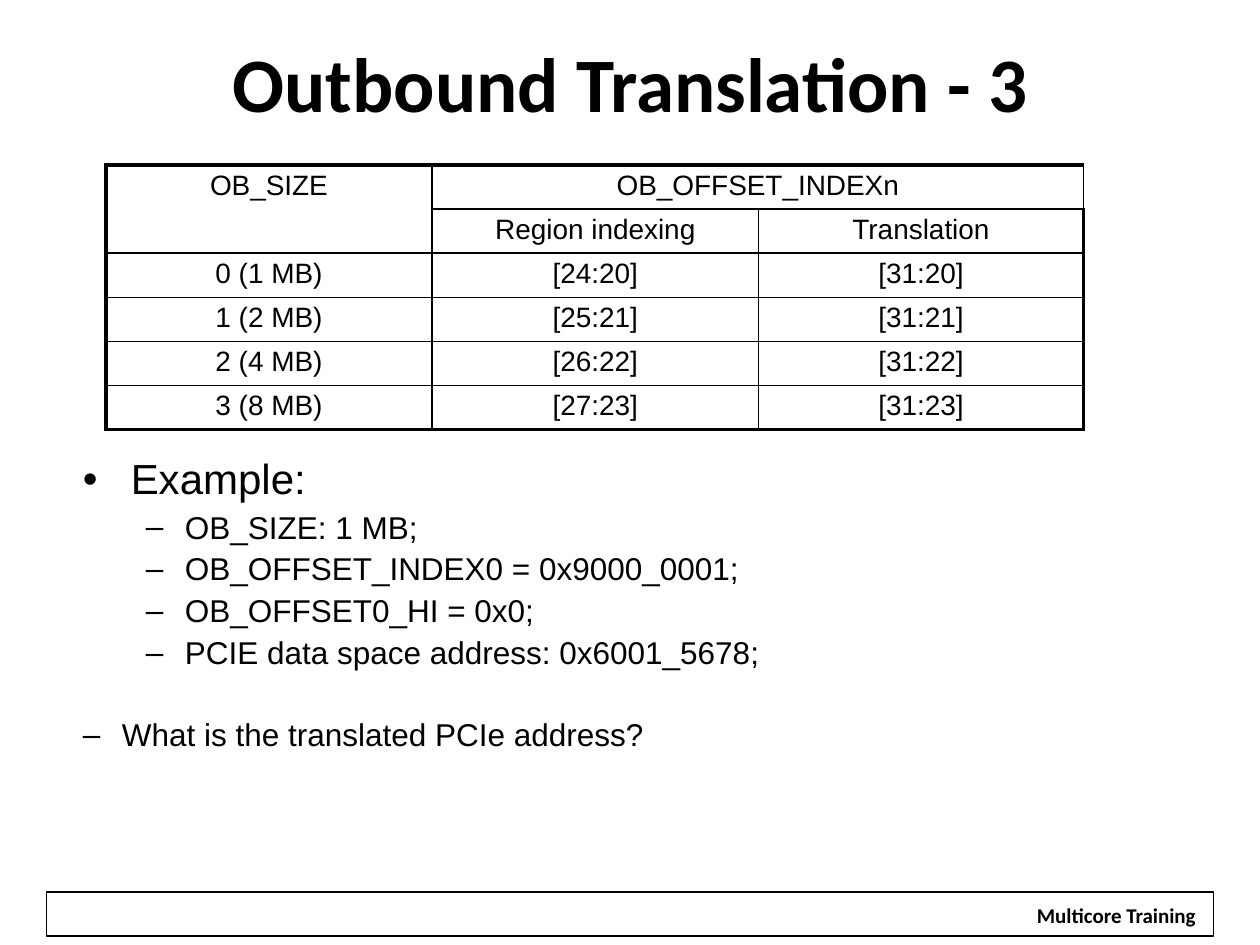
from lxml import etree
from pptx import Presentation
from pptx.dml.color import RGBColor
from pptx.enum import shapes, text
from pptx.oxml import ns
from pptx.util import Inches, Pt

COLORS = {"ink": "000000", "paper": "FFFFFF"}
HEADING_FONT, BODY_FONT = "Calibri", "Arial"

SIZES = [
    ("0 (1 MB)", "[24:20]", "[31:20]"),
    ("1 (2 MB)", "[25:21]", "[31:21]"),
    ("2 (4 MB)", "[26:22]", "[31:22]"),
    ("3 (8 MB)", "[27:23]", "[31:23]"),
]
HEADER = [("OB_SIZE", "OB_OFFSET_INDEXn", ""),
          ("", "Region indexing", "Translation")]

# text, bullet, size, left margin, hanging indent, space before
EXAMPLE = [("Example:", "•", 24, 0.38, 0.38, 0)]
EXAMPLE += [(setting, "–", 18, 0.81, 0.31, 4.5) for setting in (
    "OB_SIZE: 1 MB;",
    "OB_OFFSET_INDEX0 = 0x9000_0001;",
    "OB_OFFSET0_HI = 0x0;",
    "PCIE data space address: 0x6001_5678;",
)]
EXAMPLE.append(("What is the translated PCIe address?", "–", 18, 0.31, 0.31, 27.5))


def rgb(name):
    return RGBColor.from_string(COLORS[name])


class SlideBuilder:
    def __init__(self, slide):
        self.slide = slide

    def style(self, paragraph, size, font, bold=False):
        for run in paragraph.runs:
            run.font.size = Pt(size)
            run.font.name = font
            run.font.bold = bold
            run.font.color.rgb = rgb("ink")

    def frame(self, left, top, width, height):
        bar = self.slide.shapes.add_shape(
            shapes.MSO_SHAPE.RECTANGLE,
            Inches(left), Inches(top), Inches(width), Inches(height))
        bar.shadow.inherit = False
        bar.fill.background()
        bar.line.color.rgb = rgb("ink")
        bar.line.width = Pt(0.75)

    def box(self, left, top, width, height, wrap=True):
        box = self.slide.shapes.add_textbox(
            Inches(left), Inches(top), Inches(width), Inches(height))
        box.text_frame.word_wrap = wrap
        return box

    def heading(self, words, area, size, wrap=True):
        box = self.box(*area, wrap=wrap)
        box.text_frame.vertical_anchor = text.MSO_ANCHOR.MIDDLE
        box.text_frame.text = words
        line = box.text_frame.paragraphs[0]
        line.alignment = text.PP_ALIGN.CENTER
        self.style(line, size, HEADING_FONT, bold=True)
        return box

    def bullets(self, items, area):
        frame = self.box(*area).text_frame
        for i, (words, mark, size, margin, hang, before) in enumerate(items):
            line = frame.add_paragraph() if i else frame.paragraphs[0]
            line.text = words
            line.line_spacing = 0.9
            line.space_before = Pt(before)
            props = line._p.get_or_add_pPr()
            props.set("marL", str(Inches(margin)))
            props.set("indent", str(-Inches(hang)))
            etree.SubElement(props, ns.qn("a:buFont"), typeface=BODY_FONT)
            etree.SubElement(props, ns.qn("a:buChar"), char=mark)
            self.style(line, size, BODY_FONT)

    def borders(self, cell, widths):
        props = cell._tc.get_or_add_tcPr()
        for i, (side, width) in enumerate(widths.items()):
            edge = etree.Element(ns.qn("a:ln" + side), w=str(Pt(width)))
            fill = etree.SubElement(edge, ns.qn("a:solidFill"))
            etree.SubElement(fill, ns.qn("a:srgbClr"), val=COLORS["ink"])
            props.insert(i, edge)

    def table(self, rows, left, top, col_widths, row_height, merges):
        last_row, last_col = len(rows) - 1, len(col_widths) - 1
        table = self.slide.shapes.add_table(
            len(rows), len(col_widths), Inches(left), Inches(top),
            Inches(sum(col_widths)), Inches(row_height * len(rows))).table
        table.first_row = table.horz_banding = False
        for column, width in zip(table.columns, col_widths):
            column.width = Inches(width)
        for r, row in enumerate(rows):
            table.rows[r].height = Inches(row_height)
            for c, words in enumerate(row):
                cell = table.cell(r, c)
                cell.margin_top = cell.margin_bottom = Inches(0.04)
                cell.fill.background()
                # Heavy outer edge, thin inner rules
                self.borders(cell, {
                    "L": 1 if c else 2.25,
                    "R": 2.25 if c == last_col else 1,
                    "T": 1 if r else 2.25,
                    "B": 2.25 if r == last_row else 1,
                })
                if words:
                    cell.text = words
                    line = cell.text_frame.paragraphs[0]
                    line.alignment = text.PP_ALIGN.CENTER
                    self.style(line, 16, BODY_FONT)
        for start, end in merges:
            table.cell(*start).merge(table.cell(*end))


def main():
    deck = Presentation()
    deck.slide_width, deck.slide_height = Inches(10), Inches(7.5)
    builder = SlideBuilder(deck.slides.add_slide(deck.slide_layouts[6]))

    # Footer
    builder.frame(0.37, 7.08, 9.26, 0.35)
    footer = builder.heading("Multicore Training", (8.12, 7.11, 1.48, 0.3), 12, wrap=False)
    footer.fill.solid()
    footer.fill.fore_color.rgb = rgb("paper")

    # Title
    builder.heading("Outbound Translation - 3", (0.38, 0, 9.25, 1.3), 44)

    # Index bits for each region size
    builder.table(HEADER + SIZES, 0.84, 1.31, [2.59, 2.59, 2.58], 0.35,
                  merges=[((0, 0), (1, 0)), ((0, 1), (0, 2))])

    # Worked example
    builder.bullets(EXAMPLE, (0.56, 3.59, 9.26, 3.08))

    deck.save("out.pptx")


if __name__ == "__main__":
    main()
